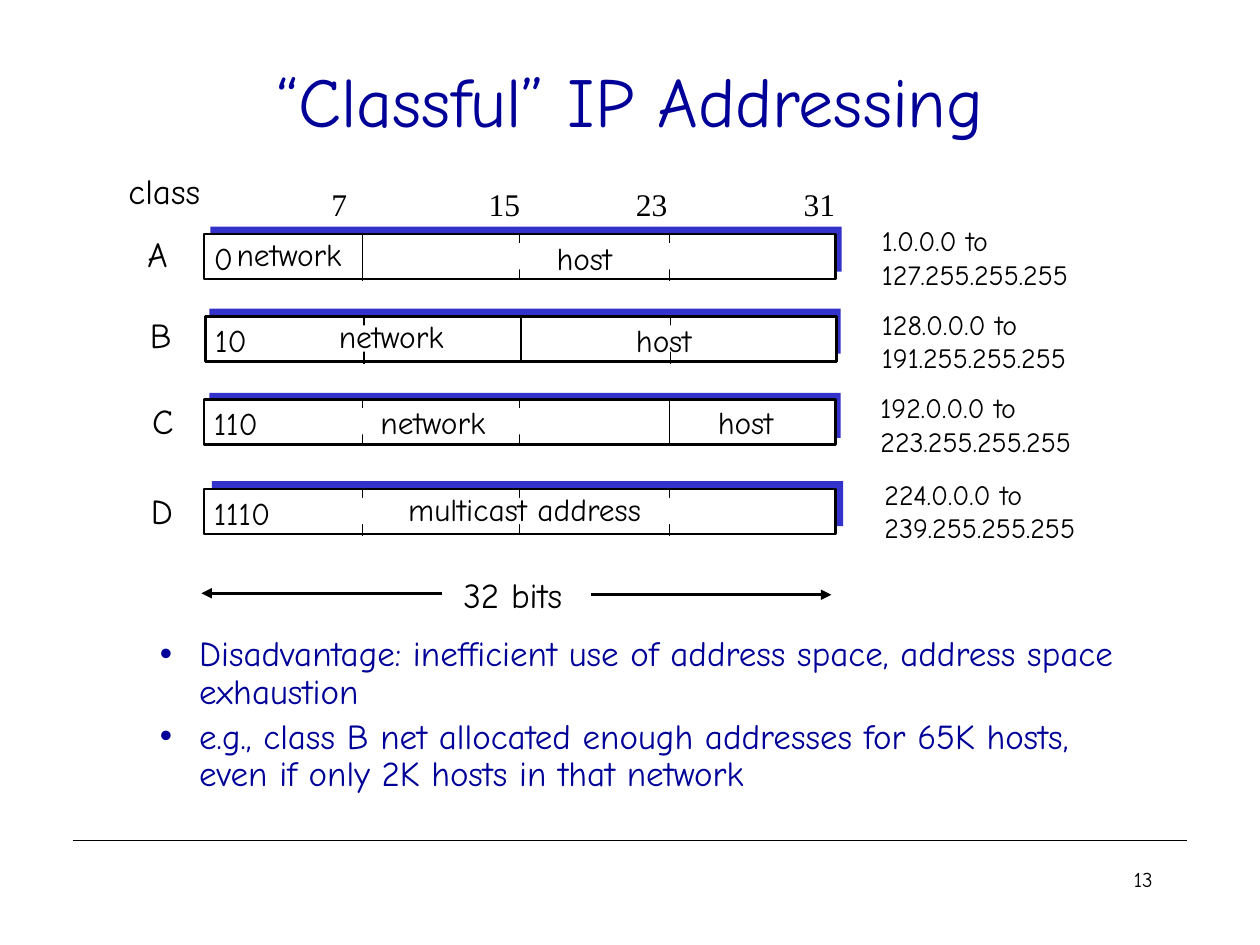
from dataclasses import dataclass

from lxml import etree
from pptx import Presentation
from pptx.dml.color import RGBColor
from pptx.enum import shapes, text
from pptx.oxml import ns
from pptx.util import Cm, Pt

COLOURS = {"ink": "000000", "paper": "FFFFFF", "navy": "000099", "shadow": "3333CC"}
SANS, SERIF = "Comic Neue", "Times New Roman"

# Shared measures, in centimetres
BAR_WIDTH, BAR_HEIGHT = 12.73, 0.91
DIVIDER_OFFSETS = (3.2, BAR_WIDTH / 2, 9.38)  # after bits 7, 15 and 23
DIVIDER_LENGTH = 0.95
GAP_WIDTH, GAP_HEIGHT, GAP_DROP = 0.25, 0.53, 0.18
FIELD_WIDTHS = {"network": 2.92, "host": 1.83, "multicast address": 5.79}


@dataclass
class Field:
    label: str
    left: float
    top: float


@dataclass
class AddressClass:
    letter: str
    letter_at: tuple[float, float]
    bar_at: tuple[float, float]
    shadow_at: tuple[float, float]
    prefix: str
    boundary: int | None  # index of the divider between network and host
    fields: list[Field]
    span: list[str]
    span_at: tuple[float, float]


CLASSES = [
    AddressClass("A", (2.72, 4.57), (4.11, 4.72), (4.24, 4.57), "0", 0,
                 [Field("network", 4.52, 4.62), Field("host", 10.97, 4.7)],
                 ["1.0.0.0 to", "127.255.255.255"], (17.53, 4.39)),
    AddressClass("B", (2.77, 6.2), (4.14, 6.38), (4.22, 6.22), "10", 1,
                 [Field("network", 6.58, 6.27), Field("host", 12.57, 6.35)],
                 ["128.0.0.0 to", "191.255.255.255"], (17.53, 6.07)),
    AddressClass("C", (2.82, 7.92), (4.11, 8.05), (4.22, 7.92), "110", 2,
                 [Field("network", 7.42, 8.0), Field("host", 14.22, 8.0)],
                 ["192.0.0.0 to", "223.255.255.255"], (17.5, 7.75)),
    AddressClass("D", (2.79, 9.75), (4.11, 9.86), (4.27, 9.7), "1110", None,
                 [Field("multicast address", 7.98, 9.75)],
                 ["224.0.0.0 to", "239.255.255.255"], (17.58, 9.5)),
]


def colour(name: str) -> RGBColor:
    return RGBColor.from_string(COLOURS[name])


def place(shape, left: float, top: float, width: float, height: float) -> None:
    shape.left, shape.top = Cm(left), Cm(top)
    shape.width, shape.height = Cm(width), Cm(height)


def style(frame, size: float, ink: str = "ink", font: str = SANS, align=None) -> None:
    for paragraph in frame.paragraphs:
        paragraph.alignment = align
        for run in paragraph.runs:
            run.font.size, run.font.name = Pt(size), font
            run.font.color.rgb = colour(ink)


def add_label(page, words: str, left: float, top: float, width: float,
              height: float, size: float, font: str = SANS) -> None:
    box = page.shapes.add_textbox(Cm(left), Cm(top), Cm(width), Cm(height))
    frame = box.text_frame
    frame.text = words
    frame.word_wrap = False
    frame.auto_size = text.MSO_AUTO_SIZE.SHAPE_TO_FIT_TEXT
    style(frame, size, font=font)


def add_rectangle(page, left: float, top: float, width: float, height: float,
                  fill: str, outlined: bool = False):
    box = page.shapes.add_shape(shapes.MSO_SHAPE.RECTANGLE,
                                Cm(left), Cm(top), Cm(width), Cm(height))
    box.shadow.inherit = False
    box.fill.solid()
    box.fill.fore_color.rgb = colour(fill)
    if outlined:
        box.line.color.rgb = colour("ink")
        box.line.width = Pt(1.5)
    else:
        box.line.fill.background()
    return box


def add_line(page, start: tuple[float, float], end: tuple[float, float],
             weight: float = 0.75, arrow: bool = False):
    line = page.shapes.add_connector(shapes.MSO_CONNECTOR.STRAIGHT,
                                     Cm(start[0]), Cm(start[1]), Cm(end[0]), Cm(end[1]))
    line.line.color.rgb = colour("ink")
    line.line.width = Pt(weight)
    if arrow:
        etree.SubElement(line.line._get_or_add_ln(), ns.qn("a:tailEnd"), type="triangle")
    etree.SubElement(line._element.spPr, ns.qn("a:effectLst"))
    return line


def add_class_row(page, row: AddressClass) -> None:
    left, top = row.bar_at
    bar = add_rectangle(page, left, top, BAR_WIDTH, BAR_HEIGHT, "paper", outlined=True)
    for index, offset in enumerate(DIVIDER_OFFSETS):
        x = left + offset
        divider = add_line(page, (x, top), (x, top + DIVIDER_LENGTH))
        if offset == BAR_WIDTH / 2:
            divider.begin_connect(bar, 0)
            divider.end_connect(bar, 2)
        if index != row.boundary:  # leave only short ticks at the edges
            add_rectangle(page, x - GAP_WIDTH / 2, top + GAP_DROP,
                          GAP_WIDTH, GAP_HEIGHT, "paper")
    add_label(page, row.prefix, left - 0.05, top - 0.03,
              0.6 + 0.29 * len(row.prefix), 1.02, 18)
    for field in row.fields:
        add_label(page, field.label, field.left, field.top,
                  FIELD_WIDTHS[field.label], 1.02, 18)
    add_label(page, row.letter, *row.letter_at, 1, 1.09, 20)
    add_label(page, "\n".join(row.span), *row.span_at, 5, 1.63, 16)


def fill_body(body, points: list[str]) -> None:
    place(body, 1.7, 12.7, 21.54, 4.24)
    frame = body.text_frame
    frame.text = "\n".join(points)
    frame.auto_size = text.MSO_AUTO_SIZE.NONE
    style(frame, 20, "navy")
    for paragraph in frame.paragraphs:
        paragraph.level = 1
        paragraph.line_spacing = 0.9
        paragraph.space_before = Pt(4)
        properties = paragraph._p.get_or_add_pPr()
        properties.set("marL", str(Cm(2.06)))
        properties.set("indent", str(-Cm(0.79)))
        etree.SubElement(properties, ns.qn("a:buChar"), char="•")


def main() -> None:
    deck = Presentation()
    deck.slide_width, deck.slide_height = Cm(25.4), Cm(19.05)
    page = deck.slides.add_slide(deck.slide_layouts[1])

    # Title and footer rule
    title = page.shapes.title
    place(title, 1.91, 0.84, 21.59, 2.34)
    title.text_frame.text = "“Classful” IP Addressing"
    title.text_frame.vertical_anchor = text.MSO_ANCHOR.MIDDLE
    style(title.text_frame, 40, "navy", align=text.PP_ALIGN.CENTER)
    add_line(page, (1.47, 16.94), (23.93, 16.94))

    # Address layouts, with all shadows behind the bars
    for row in CLASSES:
        add_rectangle(page, *row.shadow_at, BAR_WIDTH, BAR_HEIGHT, "shadow")
    for row in CLASSES:
        add_class_row(page, row)

    # Column heading and bit numbers
    add_label(page, "class", 2.34, 3.3, 2.11, 1.09, 20)
    for bit, left in (("7", 6.43), ("15", 9.6), ("23", 12.57), ("31", 15.95)):
        add_label(page, bit, left, 3.61, 0.54 + 0.3 * len(bit), 1.02, 18, SERIF)

    # Total width
    add_label(page, "32 bits", 9.09, 11.43, 2.87, 1.09, 20)
    add_line(page, (11.91, 11.99), (16.76, 11.99), 1.5, arrow=True)
    add_line(page, (8.92, 11.96), (4.06, 11.96), 1.5, arrow=True)

    # Remarks
    fill_body(page.placeholders[1], [
        "Disadvantage: inefficient use of address space, address space exhaustion",
        "e.g., class B net allocated enough addresses for 65K hosts, "
        "even if only 2K hosts in that network",
    ])

    # Page number
    number = page.shapes.add_textbox(Cm(18.21), Cm(17.35), Cm(5.28), Cm(1.27))
    number.text_frame.text = "13"
    number.text_frame.word_wrap = True
    style(number.text_frame, 12, align=text.PP_ALIGN.RIGHT)

    deck.save("out.pptx")


if __name__ == "__main__":
    main()
